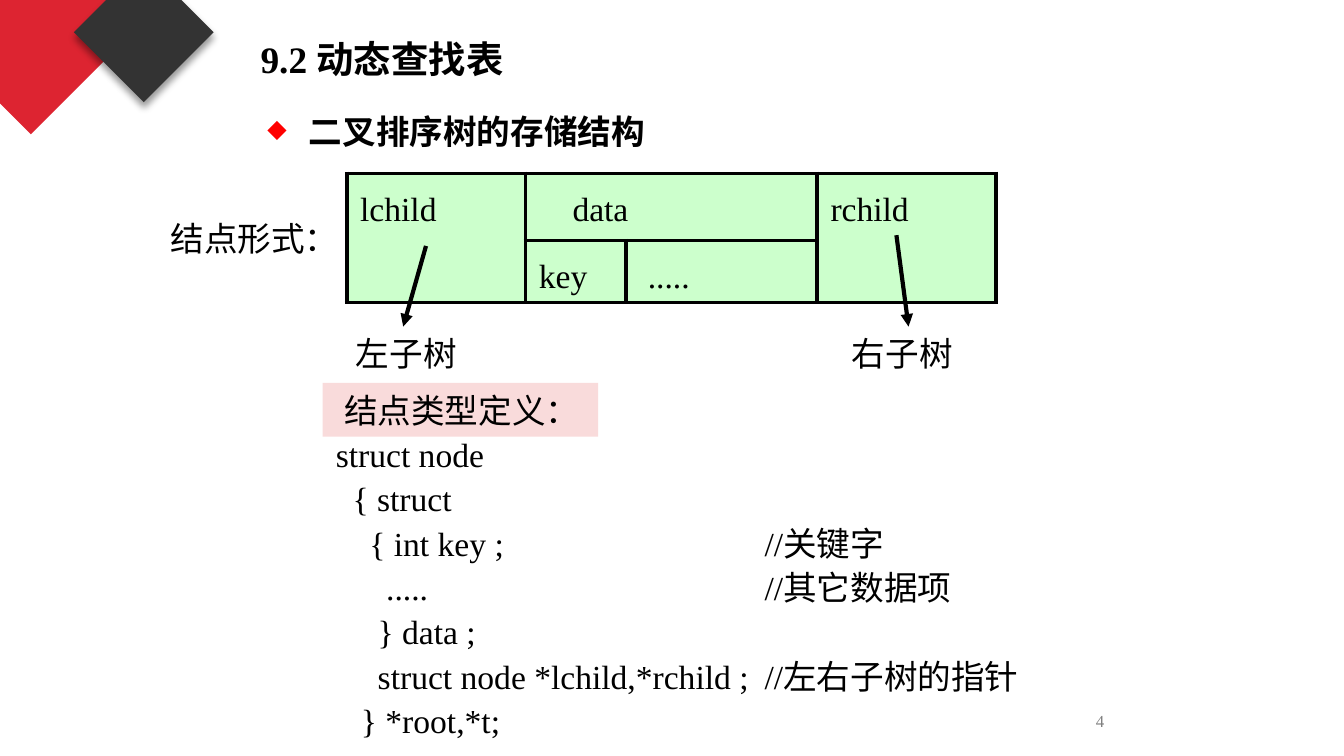
from dataclasses import dataclass

from lxml import etree
from pptx import Presentation
from pptx.dml.color import RGBColor
from pptx.enum.shapes import MSO_CONNECTOR, MSO_SHAPE
from pptx.enum.text import MSO_ANCHOR, MSO_AUTO_SIZE, PP_ALIGN
from pptx.oxml.ns import qn
from pptx.util import Inches, Pt

RECTANGLE = MSO_SHAPE.RECTANGLE
STRAIGHT = MSO_CONNECTOR.STRAIGHT
TOP, MIDDLE = MSO_ANCHOR.TOP, MSO_ANCHOR.MIDDLE
LEFT, CENTER = PP_ALIGN.LEFT, PP_ALIGN.CENTER
FIT_SHAPE, NO_FIT = MSO_AUTO_SIZE.SHAPE_TO_FIT_TEXT, MSO_AUTO_SIZE.NONE


@dataclass(frozen=True)
class Theme:
    font: str = "Times New Roman"
    ink: str = "000000"
    muted: str = "808080"
    red: str = "DD2431"
    charcoal: str = "333333"
    bullet: str = "FF0000"
    cell: str = "CCFFCC"
    caption: str = "F9DBDB"
    title: float = 20
    body: float = 18
    small: float = 9
    line: float = 2.25


@dataclass(frozen=True)
class Diamond:
    x: float
    y: float
    radius: float
    color: str
    shadowed: bool = False


@dataclass(frozen=True)
class Label:
    text: str
    left: float
    top: float
    width: float


@dataclass(frozen=True)
class Field:
    """A table cell's text, with its first and last grid position."""
    text: str
    first: tuple[int, int]
    last: tuple[int, int]
    indent: float = 0


@dataclass(frozen=True)
class Arrow:
    start: tuple[float, float]
    end: tuple[float, float]


THEME = Theme()
DIAMONDS = [Diamond(0.23, 0.17, 0.83, THEME.red),
            Diamond(1.07, 0.24, 0.52, THEME.charcoal, shadowed=True)]
FIELDS = [Field("lchild", (0, 0), (1, 0)), Field("data", (0, 1), (0, 2), 0.25),
          Field("rchild", (0, 3), (1, 3)), Field("key", (1, 1), (1, 1)),
          Field(".....", (1, 2), (1, 2), 0.06)]
ARROWS = [Arrow((3.17, 1.83), (3, 2.43)), Arrow((6.67, 1.75), (6.76, 2.43))]
LABELS = [Label("左子树", 2.55, 2.34, 0.96), Label("右子树", 6.24, 2.34, 0.96),
          Label("结点形式：", 1.17, 1.48, 1.46)]
CODE = """struct node
  { struct
    { int key ;\t//关键字
      .....\t//其它数据项
     } data ;
     struct node *lchild,*rchild ;\t//左右子树的指针
   } *root,*t;"""


def rgb(color: str) -> RGBColor:
    return RGBColor.from_string(color)


def add_node(parent, tag: str, **attributes: str):
    node = etree.SubElement(parent, qn(tag))
    for name, value in attributes.items():
        node.set(name, value)
    return node


def write(frame, text: str, *, size: float = THEME.body, color: str = THEME.ink,
          bold: bool = False, spacing: float = 1.0, align=LEFT,
          bullet: str = "", tab: float = 0) -> None:
    for index, line in enumerate(text.split("\n")):
        para = frame.paragraphs[0] if index == 0 else frame.add_paragraph()
        para.alignment = align
        para.line_spacing = spacing
        properties = para._p.get_or_add_pPr()
        if bullet:
            properties.set("marL", str(Inches(0.31)))
            properties.set("indent", str(-Inches(0.31)))
            add_node(add_node(properties, "a:buClr"), "a:srgbClr", val=THEME.bullet)
            add_node(properties, "a:buSzPct", val="75000")
            add_node(properties, "a:buChar", char=bullet)
        if tab:
            stops = add_node(properties, "a:tabLst")
            add_node(stops, "a:tab", pos=str(Inches(tab)), algn="l")
        span = para.add_run()
        span.text = line
        span.font.name = THEME.font
        span.font.size = Pt(size)
        span.font.bold = bold
        span.font.color.rgb = rgb(color)


def add_text(slide, text: str, left: float, top: float, width: float, height: float,
             *, wrap: bool = True, fit=FIT_SHAPE, anchor=TOP, **text_format) -> None:
    box = slide.shapes.add_textbox(Inches(left), Inches(top), Inches(width), Inches(height))
    frame = box.text_frame
    frame.word_wrap = wrap
    frame.auto_size = fit
    frame.vertical_anchor = anchor
    write(frame, text, **text_format)


def paint(shape, color: str) -> None:
    shape.shadow.inherit = False
    shape.fill.solid()
    shape.fill.fore_color.rgb = rgb(color)
    shape.line.fill.background()


def add_diamond(slide, diamond: Diamond) -> None:
    x, y, radius = (Inches(value) for value in (diamond.x, diamond.y, diamond.radius))
    builder = slide.shapes.build_freeform(x, y + radius)
    builder.add_line_segments([(x - radius, y), (x, y - radius), (x + radius, y)])
    shape = builder.convert_to_shape()
    paint(shape, diamond.color)
    if diamond.shadowed:
        effects = shape._element.spPr.find(qn("a:effectLst"))
        shadow = add_node(effects, "a:outerShdw", blurRad=str(Pt(4)), dist=str(Pt(3)),
                          dir="5400000", algn="t", rotWithShape="0")
        add_node(add_node(shadow, "a:srgbClr", val=THEME.ink), "a:alpha", val="40000")


def add_borders(cell) -> None:
    properties = cell._tc.get_or_add_tcPr()
    for index, side in enumerate(("a:lnL", "a:lnR", "a:lnT", "a:lnB")):
        border = add_node(properties, side, w=str(Pt(THEME.line)))
        add_node(add_node(border, "a:solidFill"), "a:srgbClr", val=THEME.ink)
        properties.insert(index, border)


def add_node_table(slide) -> None:
    widths, heights = (1.33, 0.75, 1.42, 1.33), (0.5, 0.45)
    table = slide.shapes.add_table(len(heights), len(widths), Inches(2.58), Inches(1.29),
                                   Inches(sum(widths)), Inches(sum(heights))).table
    table.first_row = table.horz_banding = False
    for column, width in zip(table.columns, widths):
        column.width = Inches(width)
    for row, height in zip(table.rows, heights):
        row.height = Inches(height)
    for cell in table.iter_cells():
        cell.fill.solid()
        cell.fill.fore_color.rgb = rgb(THEME.cell)
        add_borders(cell)
    for field in FIELDS:
        cell = table.cell(*field.first)
        if field.first != field.last:
            cell.merge(table.cell(*field.last))
        cell.margin_left = Inches(0.1 + field.indent)
        write(cell.text_frame, field.text, spacing=1.3)


def add_arrow(slide, arrow: Arrow) -> None:
    points = [Inches(value) for value in (*arrow.start, *arrow.end)]
    connector = slide.shapes.add_connector(STRAIGHT, *points)
    connector.line.color.rgb = rgb(THEME.ink)
    connector.line.width = Pt(THEME.line)
    add_node(connector.line._get_or_add_ln(), "a:tailEnd", type="triangle")
    add_node(connector._element.spPr, "a:effectLst")


def add_caption(slide, text: str) -> None:
    shape = slide.shapes.add_shape(RECTANGLE, Inches(2.4), Inches(2.85), Inches(2.05), Inches(0.4))
    paint(shape, THEME.caption)
    frame = shape.text_frame
    frame.word_wrap = True
    frame.auto_size = FIT_SHAPE
    frame.vertical_anchor = TOP
    frame.margin_left = Inches(0.16)
    write(frame, text)


def main() -> None:
    deck = Presentation()
    deck.slide_width = Inches(10)
    deck.slide_height = Inches(10 * 9 / 16)
    page = deck.slides.add_slide(deck.slide_layouts[6])
    for diamond in DIAMONDS:
        add_diamond(page, diamond)
    add_node_table(page)
    for arrow in ARROWS:
        add_arrow(page, arrow)
    for label in LABELS:
        add_text(page, label.text, label.left, label.top, label.width, 0.46,
                 wrap=False, spacing=1.3)
    add_text(page, CODE, 2.4, 3.15, 5.49, 2.41, spacing=1.1, tab=3.19)
    add_text(page, "4", 7.06, 5.21, 2.25, 0.3, fit=NO_FIT, anchor=MIDDLE,
             size=THEME.small, color=THEME.muted, align=CENTER)
    add_text(page, "9.2 动态查找表", 1.84, 0.22, 2.99, 0.44, size=THEME.title, bold=True)
    add_text(page, "二叉排序树的存储结构", 1.89, 0.69, 3.11, 0.46,
             bold=True, spacing=1.3, bullet="◆")
    add_caption(page, "结点类型定义：")
    deck.save("out.pptx")


if __name__ == "__main__":
    main()
